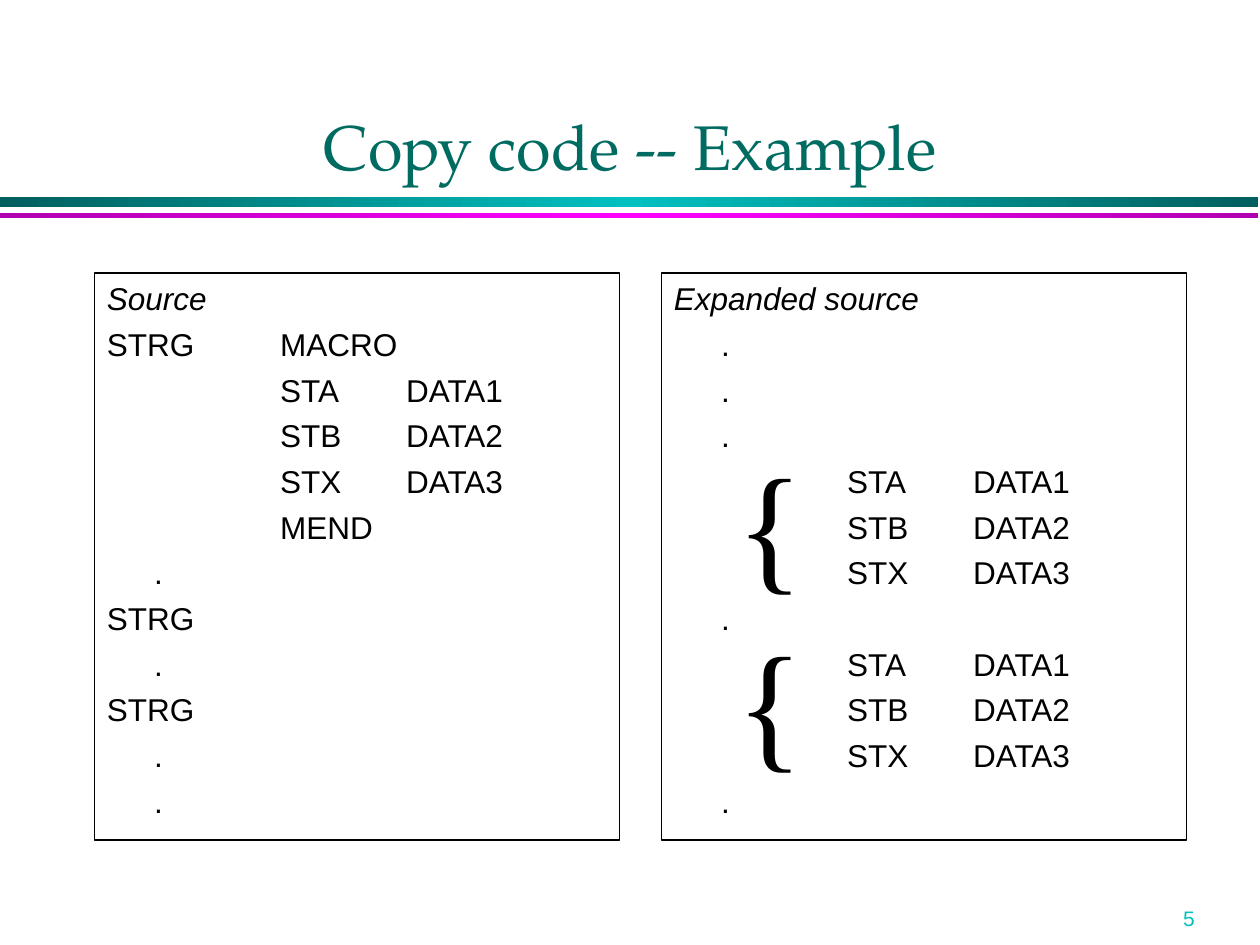
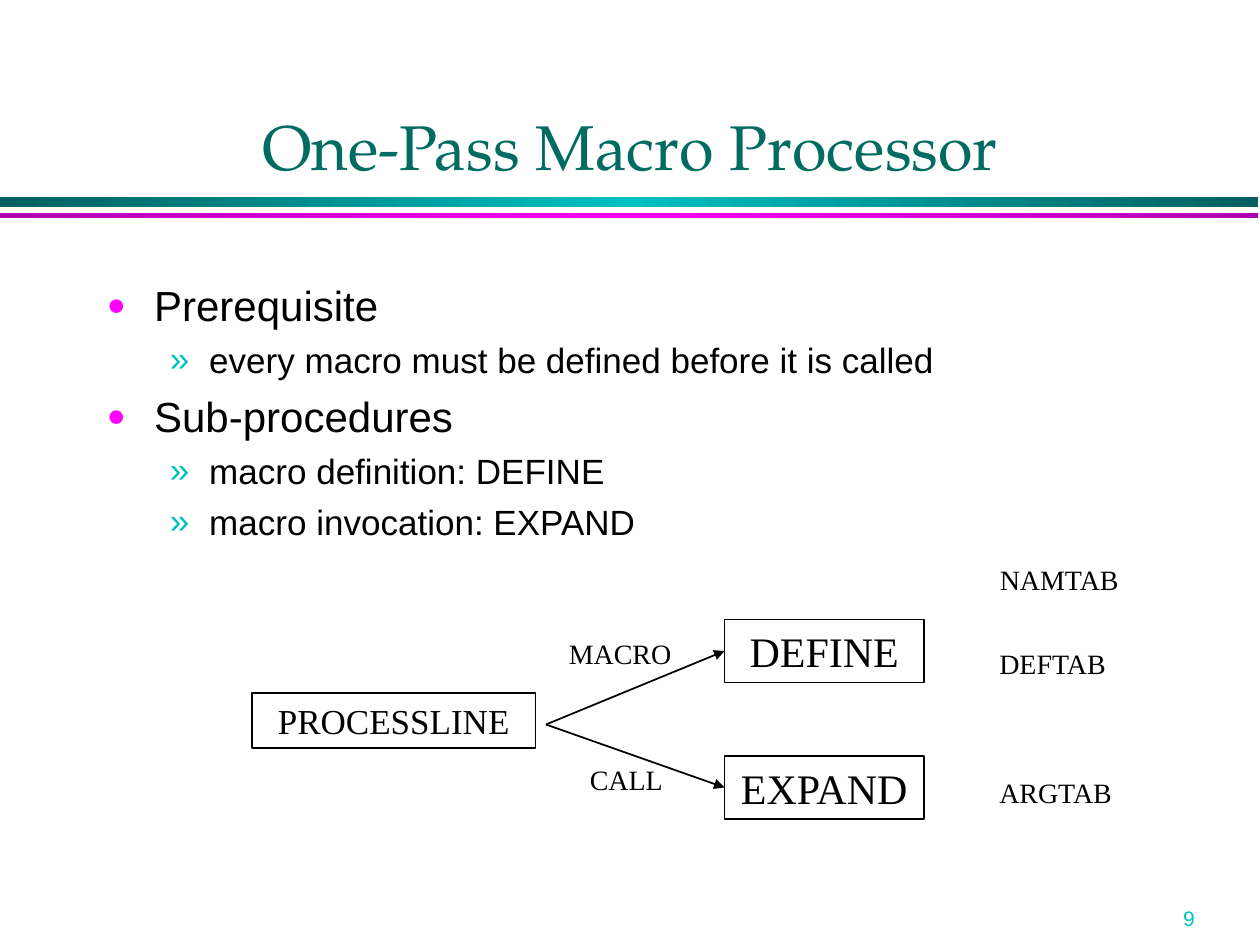
"""Build two slides on macro processors: a code expansion example and the one-pass design."""
from copy import deepcopy
from dataclasses import dataclass

from lxml.etree import SubElement
from pptx import Presentation
from pptx.dml.color import RGBColor
from pptx.enum.shapes import MSO_CONNECTOR, MSO_SHAPE
from pptx.enum.text import MSO_ANCHOR, MSO_AUTO_SIZE, PP_ALIGN
from pptx.oxml.ns import qn
from pptx.util import Pt


@dataclass(frozen=True)
class Theme:
    ink: str = "000000"
    title: str = "006B61"
    teal: str = "00C0C0"
    dark_teal: str = "005F5F"
    pink: str = "FF00FF"
    dark_pink: str = "B100B1"
    title_font: str = "TeX Gyre Pagella"
    body_font: str = "Arial"
    diagram_font: str = "Times New Roman"
    title_size: int = 36
    body_size: int = 24
    sub_size: int = 20
    code_size: int = 18
    label_size: int = 16
    page_size: int = 12
    brace_size: int = 80


T = Theme()

BANDS = [
    (112.5, 5.8, T.dark_teal, T.teal),
    (121.7, 2.9, T.dark_pink, T.pink),
]

STORES = ["STA\tDATA1", "STB\tDATA2", "STX\tDATA3"]
STORE_LINES = ["\t\t" + store for store in STORES]
DOT = "\t."
PANELS = [
    ["Source", "STRG \tMACRO", *STORE_LINES, "\t\tMEND",
     DOT, "STRG", DOT, "STRG", DOT, DOT],
    ["Expanded source", DOT, DOT, DOT, *STORE_LINES, DOT, *STORE_LINES, DOT],
]
CODE_TABS = [27 + 72 * i for i in range(4)]
BRACE_TOPS = [246, 347.8]

OUTLINE = [
    (0, "Prerequisite"),
    (1, "every macro must be defined before it is called"),
    (0, "Sub-procedures"),
    (1, "macro definition: DEFINE"),
    (1, "macro invocation: EXPAND"),
]
LEVELS = [
    {"size": T.body_size, "left": 27, "hang": 27, "bullet": ("●", T.pink, 75)},
    {"size": T.sub_size, "left": 58.5, "hang": 22.5, "bullet": ("»", T.teal, 100)},
]

CALLER = ("PROCESSLINE", (144, 396, 162, 31.5), T.sub_size)
PROCEDURES = [
    ("DEFINE", (414, 354, 114, 36), T.body_size),
    ("EXPAND", (414, 432, 114, 36), T.body_size),
]
FORK = (312, 414)
LABELS = [
    ("NAMTAB", 564.3, 318),
    ("DEFTAB", 564, 366),
    ("ARGTAB", 564, 439.7),
    ("MACRO", 318, 360),
    ("CALL", 330, 432),
]


def color(value):
    return RGBColor.from_string(value)


def format_text(p, font, size, ink=T.ink, italic=False):
    for r in p.runs:
        r.font.name = font
        r.font.size = Pt(size)
        r.font.italic = italic
        r.font.color.rgb = color(ink)


def add_text(s, box, lines, font, size, ink=T.ink, framed=False, align=PP_ALIGN.LEFT):
    rect = [Pt(v) for v in box]
    if framed:
        sp = s.shapes.add_shape(MSO_SHAPE.RECTANGLE, *rect)
        sp.shadow.inherit = False
        sp.fill.background()
        sp.line.color.rgb = color(T.ink)
        sp.line.width = Pt(1)
    else:
        sp = s.shapes.add_textbox(*rect)
    tf = sp.text_frame
    tf.word_wrap = True
    tf.vertical_anchor = MSO_ANCHOR.TOP
    tf.text = "\n".join(lines)
    for p in tf.paragraphs:
        p.alignment = align
        format_text(p, font, size, ink)
    return tf


def add_space(p):
    before = SubElement(p._p.get_or_add_pPr(), qn("a:spcBef"))
    SubElement(before, qn("a:spcPct"), val="25000")


def add_tabs(p, positions):
    stops = SubElement(p._p.get_or_add_pPr(), qn("a:tabLst"))
    for pos in positions:
        SubElement(stops, qn("a:tab"), pos=str(Pt(pos)), algn="l")


def add_bullet(p, left, hang, bullet):
    char, ink, percent = bullet
    ppr = p._p.get_or_add_pPr()
    ppr.set("marL", str(Pt(left)))
    ppr.set("indent", str(-Pt(hang)))
    SubElement(SubElement(ppr, qn("a:buClr")), qn("a:srgbClr"), val=ink)
    SubElement(ppr, qn("a:buSzPct"), val=str(percent * 1000))
    SubElement(ppr, qn("a:buFont"), typeface=T.body_font)
    SubElement(ppr, qn("a:buChar"), char=char)


def add_band(s, top, height, edge, middle):
    sp = s.shapes.add_shape(MSO_SHAPE.RECTANGLE, 0, Pt(top), Pt(719), Pt(height))
    sp.shadow.inherit = False
    sp.line.fill.background()
    sp.fill.gradient()
    sp.fill.gradient_angle = 0
    stops = sp._element.spPr.find(".//" + qn("a:gsLst"))
    stops.append(deepcopy(stops[0]))
    for i, (stop, ink) in enumerate(zip(sp.fill.gradient_stops, (edge, middle, edge))):
        stop.position = i / 2
        stop.color.rgb = color(ink)


def add_arrow(s, start, end):
    line = s.shapes.add_connector(MSO_CONNECTOR.STRAIGHT, *[Pt(v) for v in start + end])
    line.line.color.rgb = color(T.ink)
    line.line.width = Pt(1)
    SubElement(line.line._get_or_add_ln(), qn("a:tailEnd"), type="triangle")
    SubElement(line._element.spPr, qn("a:effectLst"))


def add_slide(prs, title, number):
    s = prs.slides.add_slide(prs.slide_layouts[5])
    for band in BANDS:
        add_band(s, *band)
    add_text(s, (669, 514, 50, 21.6), [number], T.body_font, T.page_size, T.teal)
    sp = s.shapes.title
    sp.left, sp.top, sp.width, sp.height = Pt(54), Pt(18), Pt(612), Pt(90)
    tf = sp.text_frame
    tf.text = title
    tf.auto_size = MSO_AUTO_SIZE.NONE
    tf.vertical_anchor = MSO_ANCHOR.BOTTOM
    tf.paragraphs[0].alignment = PP_ALIGN.CENTER
    format_text(tf.paragraphs[0], T.title_font, T.title_size, T.title)
    return s


def build_example(prs):
    s = add_slide(prs, "Copy code -- Example", "5")
    for i, lines in enumerate(PANELS):
        box = (54 + i * 324, 156, 300, 324)
        tf = add_text(s, box, lines, T.body_font, T.code_size, framed=True)
        for p in tf.paragraphs:
            add_space(p)
            add_tabs(p, CODE_TABS)
        format_text(tf.paragraphs[0], T.body_font, T.code_size, italic=True)
    for top in BRACE_TOPS:
        add_text(s, (414, top, 44, 103.7), ["{"], T.diagram_font, T.brace_size)


def build_processor(prs):
    s = add_slide(prs, "One-Pass Macro Processor", "9")
    lines = [text for _, text in OUTLINE]
    tf = add_text(s, (54, 156, 612, 324), lines, T.body_font, T.body_size)
    for p, (depth, _) in zip(tf.paragraphs, OUTLINE):
        level = LEVELS[depth]
        p.level = depth
        format_text(p, T.body_font, level["size"])
        add_space(p)
        add_bullet(p, level["left"], level["hang"], level["bullet"])
    for text, box, size in [CALLER, *PROCEDURES]:
        add_text(s, box, [text], T.diagram_font, size, framed=True, align=PP_ALIGN.CENTER)
    for _, (left, top, _, height), _ in PROCEDURES:
        add_arrow(s, FORK, (left, top + height / 2))
    for text, left, top in LABELS:
        add_text(s, (left, top, 86, 26.6), [text], T.diagram_font, T.label_size)


def main():
    prs = Presentation()
    prs.slide_width, prs.slide_height = Pt(720), Pt(540)
    build_example(prs)
    build_processor(prs)
    prs.save("out.pptx")


if __name__ == "__main__":
    main()
